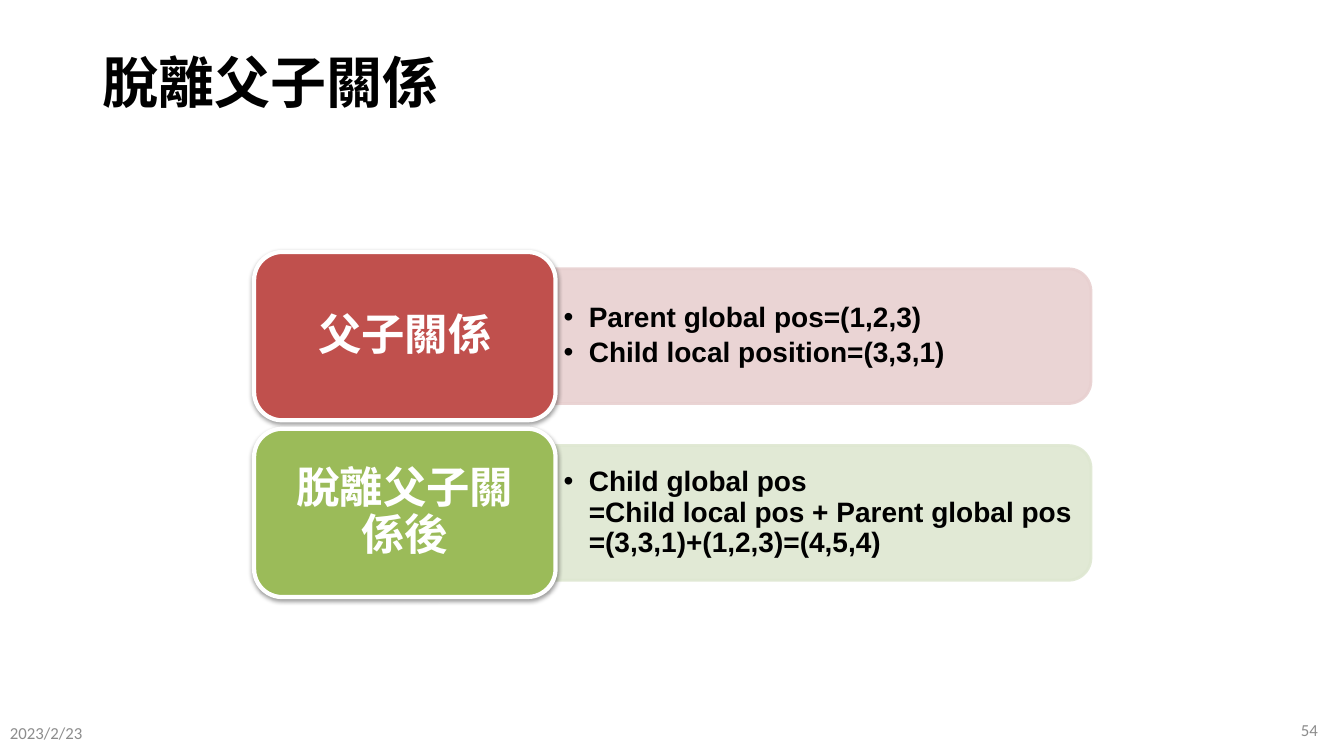
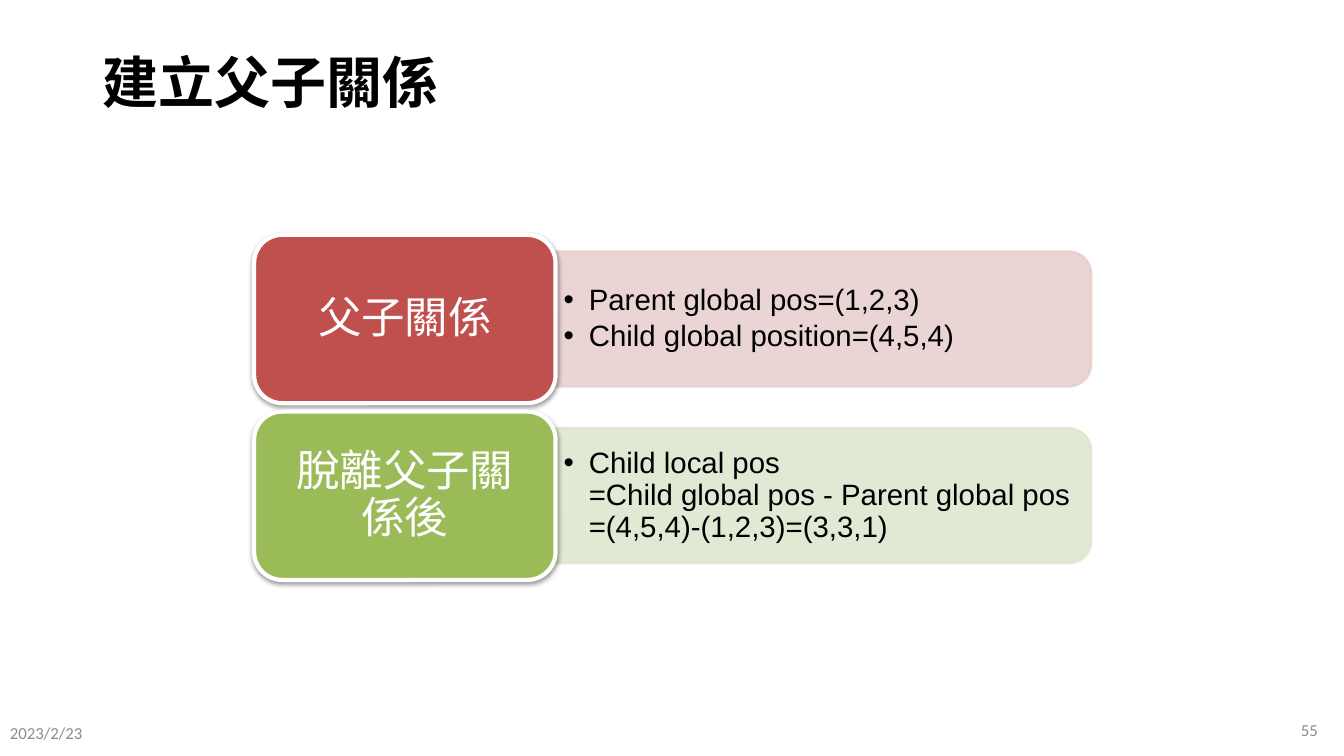
"""Build two slides comparing positions before and after a parent-child link changes."""
from lxml import etree
from pptx import Presentation
from pptx.dml.color import RGBColor
from pptx.enum.shapes import MSO_SHAPE
from pptx.enum.text import MSO_ANCHOR, MSO_AUTO_SIZE, PP_ALIGN
from pptx.oxml.ns import qn
from pptx.util import Inches, Pt

LEFT, CENTER, RIGHT = PP_ALIGN.LEFT, PP_ALIGN.CENTER, PP_ALIGN.RIGHT
MIDDLE = MSO_ANCHOR.MIDDLE
NO_AUTOFIT = MSO_AUTO_SIZE.NONE
CARD_SHAPE, PANEL_SHAPE = MSO_SHAPE.ROUNDED_RECTANGLE, MSO_SHAPE.ROUND_2_SAME_RECTANGLE

BLACK = RGBColor(0x00, 0x00, 0x00)
WHITE = RGBColor(0xFF, 0xFF, 0xFF)
GRAY = RGBColor(0x8C, 0x8C, 0x8C)
RED, PALE_RED = RGBColor(0xC0, 0x50, 0x4D), RGBColor(0xE8, 0xD0, 0xD0)
GREEN, PALE_GREEN = RGBColor(0x9B, 0xBB, 0x59), RGBColor(0xDE, 0xE7, 0xD1)

ROW_LABELS = ["父子關係", "脫離父子關係後"]
ROW_COLOURS = [(RED, PALE_RED), (GREEN, PALE_GREEN)]
DATE = "2023/2/23"
FIRST_NUMBER = 54
SLIDES = [
    {"title": "脫離父子關係", "top": 2.5, "bold": True, "size": 20, "rows": [
        ["Parent global pos=(1,2,3)", "Child local position=(3,3,1)"],
        ["Child global pos\n=Child local pos + Parent global pos\n=(3,3,1)+(1,2,3)=(4,5,4)"],
    ]},
    {"title": "建立父子關係", "top": 2.33, "bold": False, "size": 21, "rows": [
        ["Parent global pos=(1,2,3)", "Child global position=(4,5,4)"],
        ["Child local pos\n=Child global pos - Parent global pos\n=(4,5,4)-(1,2,3)=(3,3,1)"],
    ]},
]

CARD_LEFT, CARD_WIDTH, CARD_HEIGHT = 2.52, 2.99, 1.67
ROW_PITCH = CARD_HEIGHT * 1.05
PANEL_LEFT, PANEL_WIDTH, PANEL_HEIGHT = CARD_LEFT + CARD_WIDTH, 5.31, CARD_HEIGHT * 0.8
LIST_WIDTH, LIST_HEIGHT = 5.25, 1.21


def inches(*lengths):
    return [Inches(length) for length in lengths]


def set_frame(frame, margin_x=0.1, margin_y=0.05):
    frame.word_wrap = True
    frame.auto_size = NO_AUTOFIT
    frame.vertical_anchor = MIDDLE
    frame.margin_left = frame.margin_right = Inches(margin_x)
    frame.margin_top = frame.margin_bottom = Inches(margin_y)


def add_text(paragraph, text, font, size, colour, bold=False, align=LEFT, spacing=0.9):
    paragraph.alignment = align
    paragraph.line_spacing = spacing
    for index, line in enumerate(text.split("\n")):
        if index:
            paragraph.add_line_break()
        run = paragraph.add_run()
        run.text = line
        run.font.name, run.font.size, run.font.bold = font, Pt(size), bold
        run.font.color.rgb = colour


def add_bullet(paragraph):
    properties = paragraph._p.get_or_add_pPr()
    properties.set("marL", str(Inches(0.25)))
    properties.set("indent", str(-Inches(0.25)))
    etree.SubElement(properties, qn("a:buFont"), typeface="Arial")
    etree.SubElement(properties, qn("a:buChar"), char="•")


def add_filled(slide, kind, box, fill, line, line_width):
    shape = slide.shapes.add_shape(kind, *inches(*box))
    shape.shadow.inherit = False
    shape.fill.solid()
    shape.fill.fore_color.rgb = fill
    shape.line.color.rgb = line
    shape.line.width = Pt(line_width)
    return shape


def add_panel(slide, middle, colour):
    left = PANEL_LEFT + (PANEL_WIDTH - PANEL_HEIGHT) / 2
    box = left, middle - PANEL_WIDTH / 2, PANEL_HEIGHT, PANEL_WIDTH
    panel = add_filled(slide, PANEL_SHAPE, box, colour, colour, 2)
    panel.rotation = 90
    for tint in panel._element.spPr.iter(qn("a:srgbClr")):
        etree.SubElement(tint, qn("a:alpha"), val="90000")


def add_list(slide, middle, items, size, bold):
    box = PANEL_LEFT, middle - LIST_HEIGHT / 2, LIST_WIDTH, LIST_HEIGHT
    frame = slide.shapes.add_textbox(*inches(*box)).text_frame
    set_frame(frame, 0.08, 0.04)
    for index, item in enumerate(items):
        paragraph = frame.add_paragraph() if index else frame.paragraphs[0]
        paragraph.space_after = Pt(3.5)
        add_bullet(paragraph)
        add_text(paragraph, item, "Arial", size, BLACK, bold)


def add_card(slide, top, label, colour, bold):
    box = CARD_LEFT, top, CARD_WIDTH, CARD_HEIGHT
    card = add_filled(slide, CARD_SHAPE, box, colour, WHITE, 3)
    effects = card._element.spPr.find(qn("a:effectLst"))
    shadow = etree.SubElement(effects, qn("a:outerShdw"), blurRad="40000", dist="20000",
                              dir="5400000", rotWithShape="0")
    black = etree.SubElement(shadow, qn("a:srgbClr"), val=str(BLACK))
    etree.SubElement(black, qn("a:alpha"), val="38000")
    set_frame(card.text_frame, 0.21, 0.14)
    add_text(card.text_frame.paragraphs[0], label, "Arial", 31, WHITE, bold, CENTER)


def add_title(slide, text):
    title = slide.shapes.title
    title.left, title.top, title.width, title.height = inches(0.92, 0.12, 11.5, 1.45)
    set_frame(title.text_frame)
    add_text(title.text_frame.paragraphs[0], text, "Calibri", 40, BLACK, True)


def add_footer(slide, number):
    for left, top, text, align in [(0, 7.07, DATE, LEFT), (10.17, 7.04, str(number), RIGHT)]:
        frame = slide.shapes.add_textbox(*inches(left, top, 3, 0.4)).text_frame
        set_frame(frame)
        add_text(frame.paragraphs[0], text, "Calibri", 12, GRAY, align=align, spacing=1.0)


def main():
    presentation = Presentation()
    presentation.slide_width, presentation.slide_height = inches(13.33, 7.5)
    title_only = presentation.slide_layouts[5]
    for number, content in enumerate(SLIDES, FIRST_NUMBER):
        slide = presentation.slides.add_slide(title_only)
        add_title(slide, content["title"])
        rows = zip(ROW_LABELS, ROW_COLOURS, content["rows"])
        for index, (label, (strong, pale), items) in enumerate(rows):
            top = content["top"] + index * ROW_PITCH
            middle = top + CARD_HEIGHT / 2
            add_panel(slide, middle, pale)
            add_list(slide, middle, items, content["size"], content["bold"])
            add_card(slide, top, label, strong, content["bold"])
        add_footer(slide, number)
    presentation.save("out.pptx")


if __name__ == "__main__":
    main()
